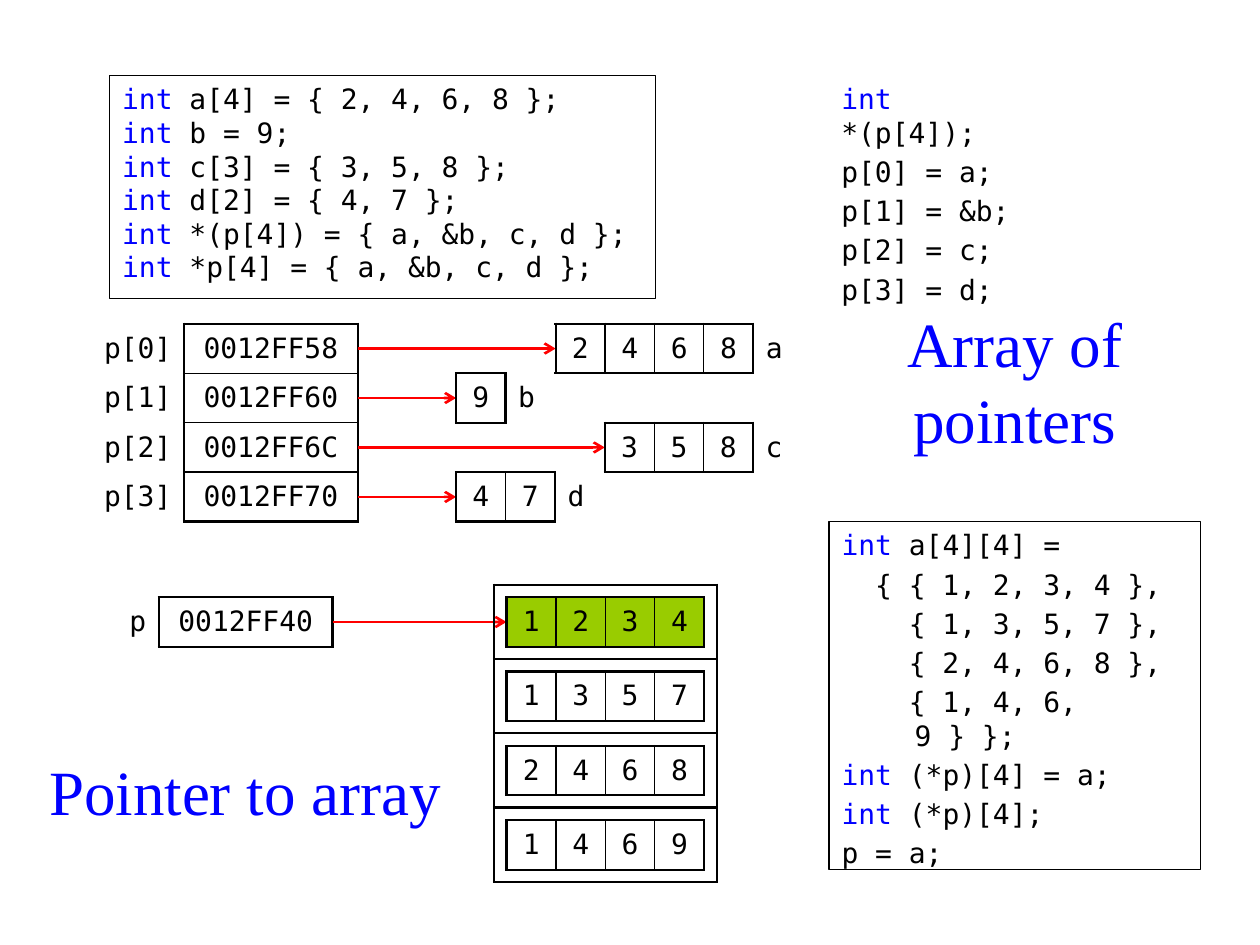
from lxml import etree
from pptx import Presentation
from pptx.dml.color import RGBColor
from pptx.enum.shapes import MSO_CONNECTOR
from pptx.enum.text import MSO_ANCHOR, MSO_AUTO_SIZE, PP_ALIGN
from pptx.oxml.ns import qn
from pptx.util import Inches, Pt

STRAIGHT = MSO_CONNECTOR.STRAIGHT
MIDDLE, TOP = MSO_ANCHOR.MIDDLE, MSO_ANCHOR.TOP
NO_AUTOFIT = MSO_AUTO_SIZE.NONE
LEFT, CENTER, RIGHT = PP_ALIGN.LEFT, PP_ALIGN.CENTER, PP_ALIGN.RIGHT

MONO, SERIF = "DejaVu Sans Mono", "Times New Roman"
BLACK, BLUE, RED, GREEN = "000000", "0000FF", "FF0000", "99CC00"
THIN, THICK = 0.75, 1.5
KEYWORD = "int"

CELL = Inches(1.57 / 4)
LABEL_WIDTH, ADDRESS_WIDTH = Inches(0.79), Inches(1.38)

DECLARATIONS = [
    "int a[4] = { 2, 4, 6, 8 };",
    "int b = 9;",
    "int c[3] = { 3, 5, 8 };",
    "int d[2] = { 4, 7 };",
    "int *(p[4]) = { a, &b, c, d };",
    "int *p[4] = { a, &b, c, d };",
]
ASSIGNMENTS = ["int *(p[4]);", "p[0] = a;", "p[1] = &b;", "p[2] = c;", "p[3] = d;"]
MATRIX_CODE = [
    "int a[4][4] =",
    "  { { 1, 2, 3, 4 },",
    "    { 1, 3, 5, 7 },",
    "    { 2, 4, 6, 8 },",
    "    { 1, 4, 6, 9 } };",
    "int (*p)[4] = a;",
    "int (*p)[4];",
    "p = a;",
]
# address, left edge of the target, its values, its name
POINTERS = [
    ("0012FF58", 4.41, "2468", "a"),
    ("0012FF60", 3.62, "9", "b"),
    ("0012FF6C", 4.8, "358", "c"),
    ("0012FF70", 3.62, "47", "d"),
]
MATRIX = ["1234", "1357", "2468", "1469"]


def color(value):
    return RGBColor.from_string(value)


def write_text(frame, lines, size=16, font=MONO, fill=BLACK, align=LEFT,
               anchor=TOP, space_before=0, hanging=0):
    """Write one paragraph per line, with a leading keyword in blue."""
    frame.word_wrap = True
    frame.vertical_anchor = anchor
    for index, line in enumerate(lines):
        para = frame.paragraphs[0] if index == 0 else frame.add_paragraph()
        para.alignment = align
        para.space_before = Pt(space_before)
        properties = para._p.get_or_add_pPr()
        properties.set("marL", str(hanging))
        properties.set("indent", str(-hanging))
        etree.SubElement(properties, qn("a:buNone"))
        has_keyword = line.startswith(KEYWORD + " ")
        parts = [(KEYWORD, BLUE), (line[len(KEYWORD):], fill)] if has_keyword else [(line, fill)]
        for text, text_color in parts:
            span = para.add_run()
            span.text = text
            span.font.size = Pt(size)
            span.font.name = font
            span.font.color.rgb = color(text_color)


def place_code(holder, left, top, width, height, lines, **text_format):
    """Move a body placeholder, frame it and fill it with code."""
    holder.left, holder.top, holder.width, holder.height = left, top, width, height
    holder.line.color.rgb = color(BLACK)
    holder.line.width = Pt(THIN)
    write_text(holder.text_frame, lines, **text_format)
    holder.text_frame.auto_size = NO_AUTOFIT


def add_text(page, left, top, width, height, lines, **text_format):
    box = page.shapes.add_textbox(left, top, width, height)
    write_text(box.text_frame, lines, **text_format)


def set_borders(cell, **weights):
    """Set the sides L, R, T and B in points; 0 hides a side."""
    properties = cell._tc.get_or_add_tcPr()
    for side in "LRTB":
        weight = weights[side]
        border = etree.SubElement(properties, qn("a:ln" + side), w=str(Pt(weight)))
        if weight:
            solid = etree.SubElement(border, qn("a:solidFill"))
            etree.SubElement(solid, qn("a:srgbClr"), val=BLACK)
        else:
            etree.SubElement(border, qn("a:noFill"))


def add_grid(page, left, top, widths, rows, row_height=CELL, label=None,
             inner=THIN, fill=None):
    """Add a bordered table; the label column stays outside its frame."""
    height = row_height * len(rows)
    table = page.shapes.add_table(len(rows), len(widths), left, top, sum(widths), height).table
    table.first_row = table.horz_banding = False
    for column, width in zip(table.columns, widths):
        column.width = width
    for row in table.rows:
        row.height = row_height

    def is_framed(r, c):
        return 0 <= r < len(rows) and 0 <= c < len(widths) and c != label

    for r, texts in enumerate(rows):
        for c, text in enumerate(texts):
            cell = table.cell(r, c)
            neighbours = {"L": (r, c - 1), "R": (r, c + 1), "T": (r - 1, c), "B": (r + 1, c)}
            set_borders(cell, **{
                side: (0, THICK, inner)[is_framed(r, c) + is_framed(*place)]
                for side, place in neighbours.items()})
            if fill and c != label:
                cell.fill.solid()
                cell.fill.fore_color.rgb = color(fill)
            else:
                cell.fill.background()
            cell.margin_left = cell.margin_right = Inches(0.1)
            cell.margin_top = cell.margin_bottom = Inches(0.04)
            cell.vertical_anchor = MIDDLE
            if text:
                align = CENTER if c != label else RIGHT if c == 0 else LEFT
                write_text(cell.text_frame, [text], align=align, anchor=MIDDLE)


def add_arrow(page, start, end, y):
    arrow = page.shapes.add_connector(STRAIGHT, start, y, end, y)
    arrow.line.color.rgb = color(RED)
    arrow.line.width = Pt(THICK)
    etree.SubElement(arrow.line._get_or_add_ln(), qn("a:tailEnd"), type="arrow")
    etree.SubElement(arrow._element.spPr, qn("a:effectLst"))


def draw_pointer_array(page, left, top):
    """Draw the pointers p[0] to p[3] and the arrays they point to."""
    widths = [LABEL_WIDTH, ADDRESS_WIDTH]
    rows = [[f"p[{i}]", pointer[0]] for i, pointer in enumerate(POINTERS)]
    add_grid(page, left, top, widths, rows, label=0)
    for index, (_, target, values, name) in enumerate(POINTERS):
        row_top = top + index * CELL
        add_arrow(page, left + sum(widths), Inches(target), row_top + CELL // 2)
        add_grid(page, Inches(target), row_top, [CELL] * (len(values) + 1),
                 [[*values, name]], label=len(values))


def draw_array_pointer(page, left, top, width, row_height):
    """Draw the framed matrix in the given box, with p pointing to its first row."""
    padding = Inches(0.1)
    pointer_left = left - Inches(3.45)
    widths = [LABEL_WIDTH, ADDRESS_WIDTH]
    add_grid(page, pointer_left, top + padding, widths, [["p", "0012FF40"]], label=0)
    add_arrow(page, pointer_left + sum(widths), left + padding, top + padding + CELL // 2)
    add_grid(page, left, top, [width], [[""]] * len(MATRIX), row_height, inner=THICK)
    for index, values in enumerate(MATRIX):
        add_grid(page, left + padding, top + padding + index * row_height,
                 [CELL] * len(values), [values], fill=None if index else GREEN)


def build_page(deck):
    page = deck.slides.add_slide(deck.slide_layouts[3])
    title, declarations, matrix_code = page.placeholders
    title._element.getparent().remove(title._element)

    place_code(declarations, Inches(0.87), Inches(0.6), Inches(4.33), Inches(1.77),
               DECLARATIONS, hanging=Inches(0.59))
    place_code(matrix_code, Inches(6.58), Inches(4.14), Inches(2.95), Inches(2.76),
               MATRIX_CODE, hanging=Inches(0.58), space_before=3.2)
    add_text(page, Inches(6.58), Inches(0.6), Inches(1.77), Inches(1.77),
             ASSIGNMENTS, space_before=3.2)

    heading = {"size": 36, "font": SERIF, "fill": BLUE, "align": CENTER}
    add_text(page, Inches(6.97), Inches(2.37), Inches(2.17), Inches(1.38),
             ["Array of pointers"], **heading)
    add_text(page, Inches(0.27), Inches(5.92), Inches(3.35), Inches(0.79),
             ["Pointer to array"], **heading)

    draw_pointer_array(page, Inches(0.67), Inches(2.57))
    draw_array_pointer(page, Inches(3.92), Inches(4.64), Inches(1.77), Inches(0.59))


def main():
    deck = Presentation()
    deck.slide_width, deck.slide_height = Inches(10), Inches(7.5)
    build_page(deck)
    deck.save("out.pptx")


if __name__ == "__main__":
    main()
